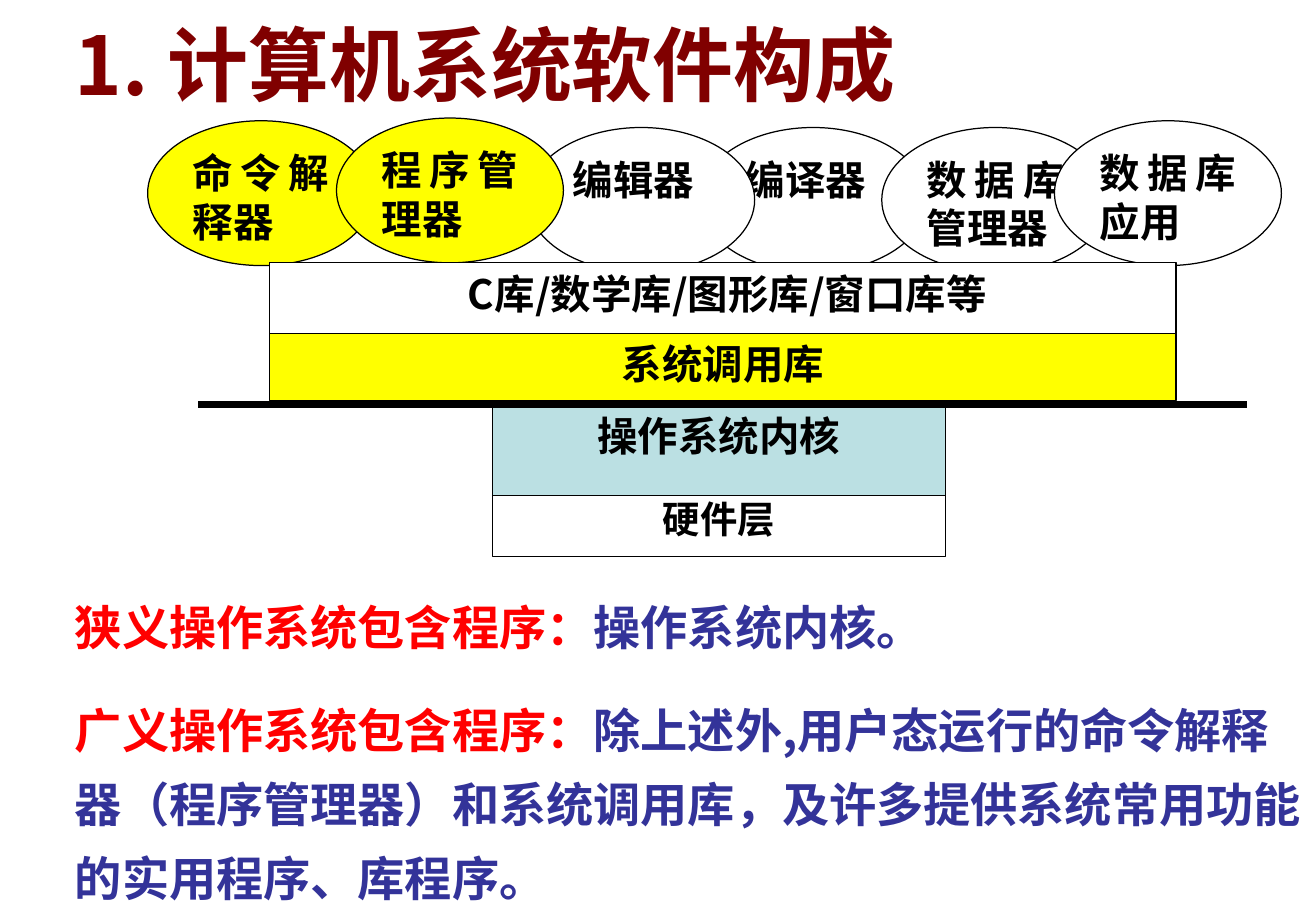
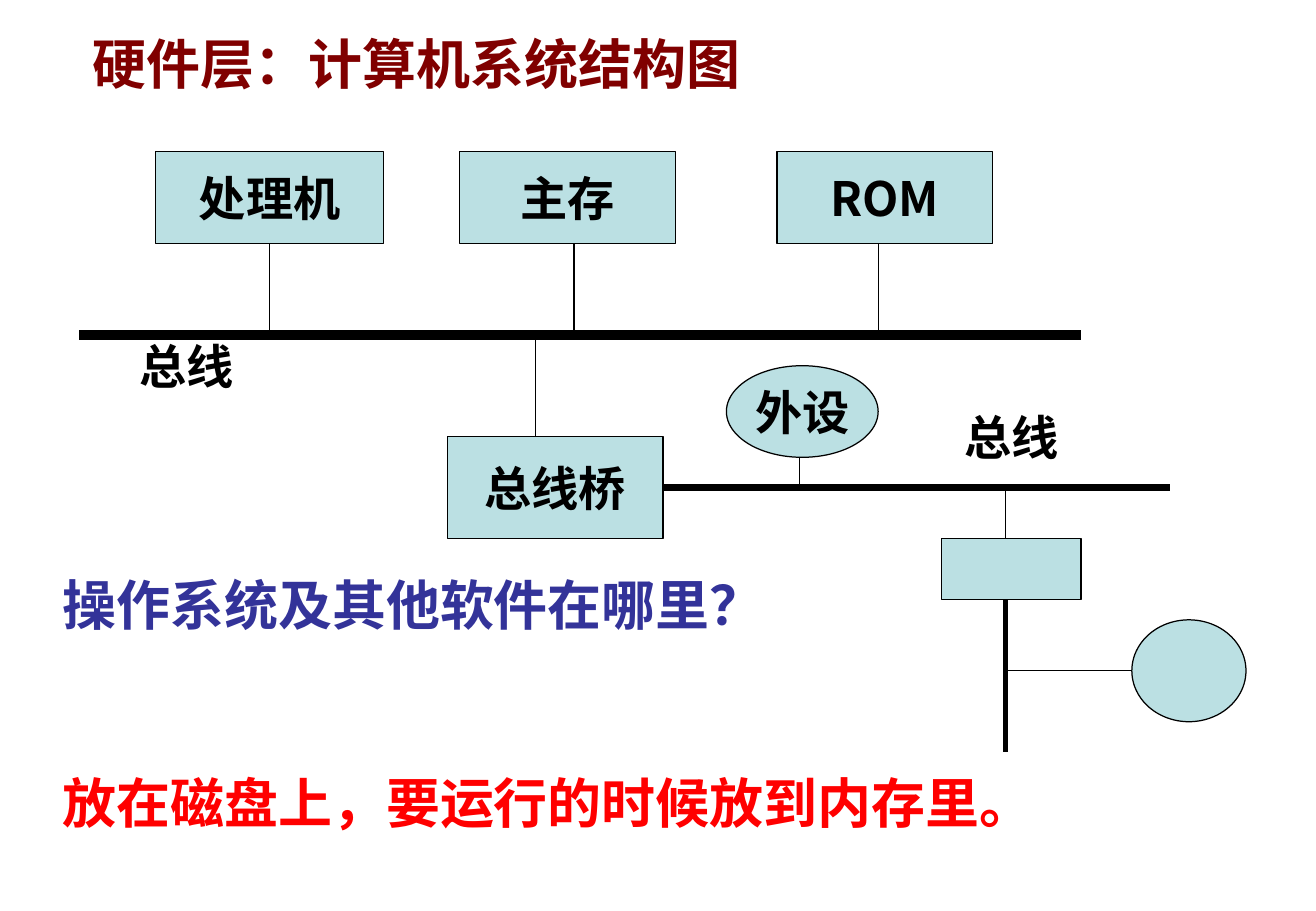
from lxml.etree import SubElement
from pptx import Presentation
from pptx.dml.color import RGBColor as RGB
from pptx.enum.shapes import MSO_CONNECTOR as LINK, MSO_SHAPE as KIND
from pptx.enum.text import MSO_ANCHOR as ANCHOR, PP_ALIGN as ALIGN
from pptx.oxml.ns import qn
from pptx.util import Pt

HUES = {"ink": "000000", "paper": "FFFFFF", "sun": "FFFF00", "sky": "BBE0E3",
        "title": "800000", "red": "FF0000", "blue": "333399"}
SANS, SERIF = "Noto Sans CJK SC", "Times New Roman"
RECT, OVAL = KIND.RECTANGLE, KIND.OVAL


def place(slide, kind, spot, paras, fill=None, size=24, face=SANS, wrap=True,
          anchor=ANCHOR.TOP, **form):
    """Add a shape, or a text box if kind is None; paras lists (text, hue) runs."""
    spot = [Pt(n) for n in spot]
    if kind is None:
        box = slide.shapes.add_textbox(*spot)
    else:
        box = slide.shapes.add_shape(kind, *spot)
        box.shadow.inherit = False
        box.fill.solid()
        box.fill.fore_color.rgb = RGB.from_string(HUES[fill])
        box.line.color.rgb = RGB.from_string(HUES["ink"])
        box.line.width = Pt(0.75)
    frame = box.text_frame
    frame.word_wrap = wrap
    frame.vertical_anchor = anchor
    for i, runs in enumerate(paras):
        para = frame.add_paragraph() if i else frame.paragraphs[0]
        for key, val in form.items():
            if i or key != "space_before":
                setattr(para, key, val)
        for text, hue in runs:
            run = para.add_run()
            run.text = text
            look = {"name": face, "size": Pt(size), "bold": True}
            for key, val in look.items():
                setattr(run.font, key, val)
            run.font.color.rgb = RGB.from_string(HUES[hue])
            SubElement(run.font._element, qn("a:ea"), typeface=SANS)
    return box


def join(slide, x1, y1, x2, y2, width=0.75):
    line = slide.shapes.add_connector(LINK.STRAIGHT, Pt(x1), Pt(y1), Pt(x2), Pt(y2))
    line.line.color.rgb = RGB.from_string(HUES["ink"])
    line.line.width = Pt(width)
    SubElement(line._element.spPr, qn("a:effectLst"))
    return line


deck = Presentation()
deck.slide_width, deck.slide_height = Pt(780.48), Pt(540)
blank = deck.slide_layouts[6]

# Slide 1: software layers
slide = deck.slides.add_slide(blank)
tools = [("命令解释器", 87.6, 71.6, "sun"), ("编译器", 415, 75.6, "paper"),
         ("数据库管理器", 523, 75.6, "paper"), ("数据库应用", 625.4, 71.6, "paper"),
         ("编辑器", 313, 75.6, "paper"), ("程序管理器", 199.6, 70, "sun")]
for text, x, y, fill in tools:
    place(slide, OVAL, (x, y, 134.6, 85.8), [[(text, "ink")]], fill,
          alignment=ALIGN.JUSTIFY)

wide, slim = (159.8, 537.8), (292, 268.6)
layers = [("操作系统内核", slim, 239.8, 57.6, "sky", 24, 1.0),
          ("硬件层", slim, 293.8, 36, "paper", 22.2, 0.9),
          (" C库/数学库/图形库/窗口库等", wide, 155.8, 46.1, "paper", 24, 1.0),
          ("系统调用库", wide, 197.6, 40, "sun", 24, 1.0)]
for text, (x, w), y, h, fill, size, gap in layers:
    place(slide, RECT, (x, y, w, h), [[(text, "ink")]], fill, size,
          alignment=ALIGN.CENTER, line_spacing=gap)
join(slide, 117.6, 239.8, 739.4, 239.8, 4.5)

place(slide, None, (37.4, 5, 560, 64.8), [[("1. 计算机系统软件构成", "title")]], size=48)
scope = [[("狭义操作系统包含程序：", "red"), ("操作系统内核。", "blue")],
         [("广义操作系统包含程序：", "red"),
          ("除上述外,用户态运行的命令解释器（程序管理器）和系统调用库，"
           "及许多提供系统常用功能的实用程序、库程序。", "blue")]]
place(slide, None, (37.4, 341, 743, 233), scope, size=28,
      line_spacing=1.3, space_before=Pt(17.5))

# Slide 2: hardware structure
slide = deck.slides.add_slide(blank)
bus, side, stem = 198.7, 289, 596.2
links = [(340.4, 144.3, 340.4, bus, 0.75), (521, 144.3, 521, bus, 0.75),
         (317.8, bus, 317.8, 258.8, 0.75), (47, bus, 641, bus, 6),
         (474, 270, 474, side, 0.75), (stem, side, stem, 319.3, 0.75),
         (stem, 355.3, stem, 446, 3), (stem, 397.6, 671.3, 397.6, 0.75)]
for ends in links:
    join(slide, *ends)

parts = [("处理机", RECT, (92.2, 90, 135.4, 54.3)),
         ("主存", RECT, (272.6, 90, 128, 54.3)),
         ("ROM", RECT, (460.8, 90, 128, 54.3)),
         ("总线桥", RECT, (265.2, 258.8, 128, 60.4)),
         ("外设", OVAL, (430.8, 216.8, 90, 54.3)),
         ("", RECT, (558.3, 319.3, 82.8, 36)),
         ("", OVAL, (671.3, 367.4, 67.7, 60.4))]
boxes = {}
for text, kind, spot in parts:
    paras = [[(text, "ink")]] if text else []
    boxes[text] = place(slide, kind, spot, paras, "sky", 28, wrap=False,
                        anchor=ANCHOR.MIDDLE, alignment=ALIGN.CENTER)
join(slide, 159.9, 144.3, 159.9, bus).begin_connect(boxes["处理机"], 2)
join(slide, 393.2, side, 693.8, side, 4.5).begin_connect(boxes["总线桥"], 3)

for x, y in [(75.6, 196.2), (565, 238.6)]:
    place(slide, None, (x, y, 82, 41), [[("总线", "ink")]], size=28)
place(slide, None, (47.7, 14.4, 450, 46), [[("硬件层：计算机系统结构图", "title")]],
      size=32, face=SERIF)
place(slide, None, (29.8, 335.5, 672, 163),
      [[("操作系统及其他软件在哪里？", "blue")],
       [("放在磁盘上，要运行的时候放到内存里。", "red")]],
      size=32, face=SERIF, space_before=Pt(78.5))

deck.save("out.pptx")
